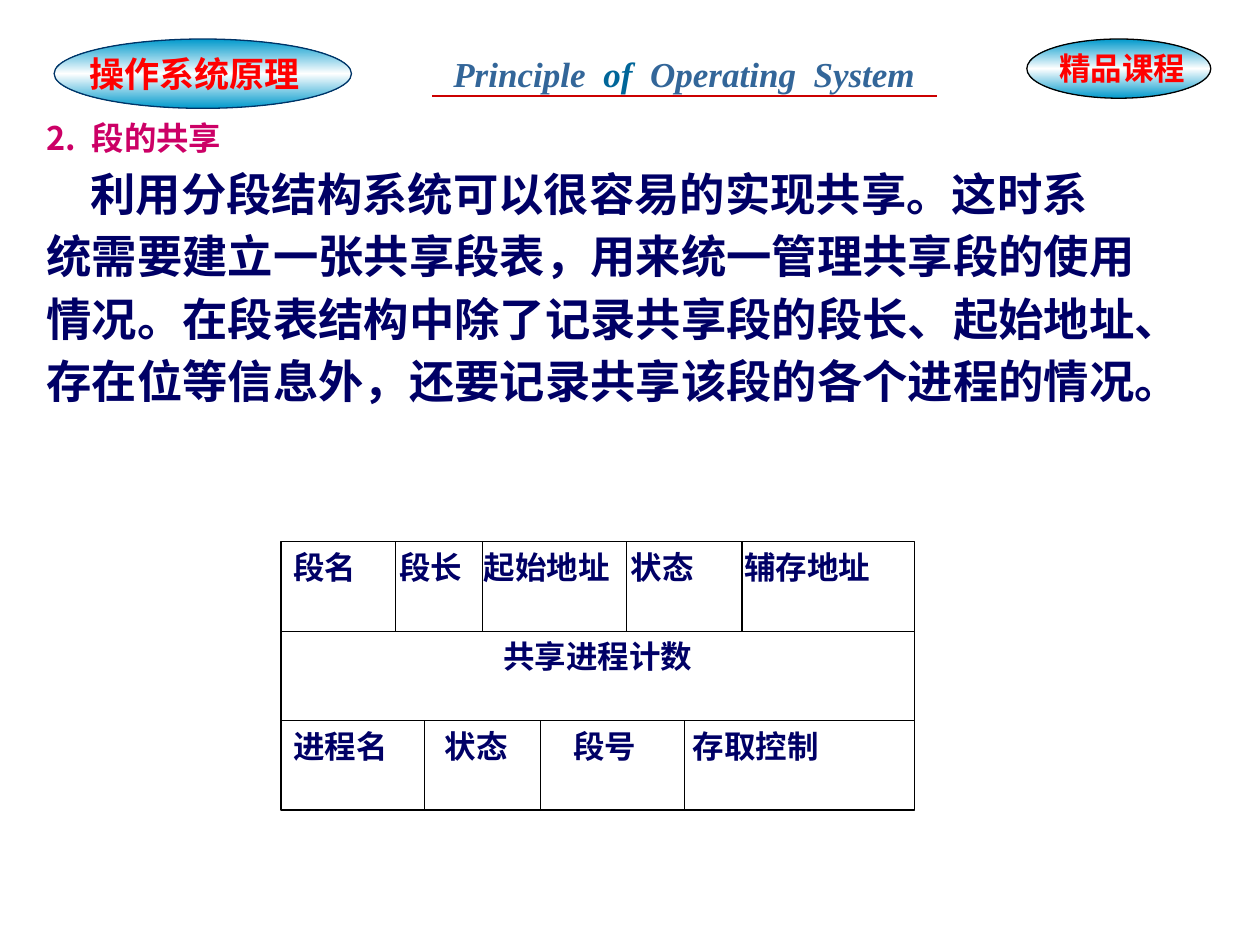
from copy import deepcopy

from lxml.etree import SubElement
from pptx import Presentation
from pptx.dml.color import RGBColor
from pptx.enum.shapes import MSO_CONNECTOR, MSO_SHAPE
from pptx.enum.text import MSO_ANCHOR, PP_ALIGN
from pptx.oxml.ns import qn
from pptx.util import Inches, Pt

NAVY = RGBColor(0x00, 0x00, 0x66)
MAGENTA = RGBColor(0xCC, 0x00, 0x66)
RED = RGBColor(0xFF, 0x00, 0x00)
RULE_RED = RGBColor(0xCC, 0x00, 0x00)
SKY = RGBColor(0x00, 0x99, 0xCC)
WHITE = RGBColor(0xFF, 0xFF, 0xFF)
BLACK = RGBColor(0x00, 0x00, 0x00)
DEEP_BLUE = RGBColor(0x00, 0x33, 0x66)
STEEL = RGBColor(0x33, 0x66, 0x99)
TEAL = RGBColor(0x00, 0x66, 0x99)

SERIF = "Times New Roman"
SANS = "Arial"
CJK = "Noto Sans CJK SC"
CJK_HEADING = "Noto Sans CJK JP"


def style_run(r, size, color, font=SERIF, east=CJK, italic=False):
    r.font.size = Pt(size)
    r.font.bold = True
    r.font.italic = italic
    r.font.name = font
    r.font.color.rgb = color
    SubElement(r.font._element, qn("a:ea")).set("typeface", east)


def add_tabs(p, stops):
    tabs = SubElement(p._p.get_or_add_pPr(), qn("a:tabLst"))
    for stop in stops:
        SubElement(tabs, qn("a:tab"), pos=str(Inches(stop)), algn="l")


def add_text_box(s, x, y, w, h, wrap=False):
    tf = s.shapes.add_textbox(Inches(x), Inches(y), Inches(w), Inches(h)).text_frame
    tf.word_wrap = wrap
    return tf


def add_line(s, x1, y1, x2, y2, color=BLACK, width=0.75):
    line = s.shapes.add_connector(
        MSO_CONNECTOR.STRAIGHT, Inches(x1), Inches(y1), Inches(x2), Inches(y2))
    line.line.color.rgb = color
    line.line.width = Pt(width)
    SubElement(line._element.spPr, qn("a:effectLst"))


def add_shape(s, kind, x, y, w, h, color=BLACK):
    sp = s.shapes.add_shape(kind, Inches(x), Inches(y), Inches(w), Inches(h))
    sp.shadow.inherit = False
    sp.line.color.rgb = color
    sp.line.width = Pt(0.75)
    return sp


def add_badge(s, x, y, w, h, outline, text, dx, dy, text_w, text_h, size, font):
    sp = add_shape(s, MSO_SHAPE.OVAL, x, y, w, h, outline)
    sp.fill.gradient()
    sp.fill.gradient_angle = 90
    stops = sp._element.spPr.find(".//" + qn("a:gsLst"))
    stops.insert(1, deepcopy(stops[0]))
    for stop, position, color in zip(sp.fill.gradient_stops, (0, 0.5, 1), (SKY, WHITE, SKY)):
        stop.position = position
        stop.color.rgb = color
    p = add_text_box(s, x + dx, y + dy, text_w, text_h).paragraphs[0]
    p.text = text
    style_run(p.runs[0], size, RED, font)


def add_course_title(s, x, y, w, h):
    p = add_text_box(s, x + 0.07, y + 0.01, w - 0.08, h).paragraphs[0]
    for text, color in (("Principle  ", STEEL), ("of  ", TEAL), ("Operating  System", STEEL)):
        r = p.add_run()
        r.text = text
        style_run(r, 20, color, italic=True)
    add_line(s, x, y + 0.4, x + w, y + 0.4, RULE_RED, 1)


def add_body(s, x, y, w, h):
    tf = add_text_box(s, x, y, w, h, wrap=True)
    tf.text = "\n".join((
        "2.\t段的共享",
        "利用分段结构系统可以很容易的实现共享。这时系",
        "统需要建立一张共享段表，用来统一管理共享段的使用",
        "情况。在段表结构中除了记录共享段的段长、起始地址、",
        "存在位等信息外，还要记录共享该段的各个进程的情况。",
    ))
    heading, first, *rest = tf.paragraphs
    for p in tf.paragraphs:
        p.line_spacing = 1.15
    add_tabs(heading, [0.36])
    for r in heading.runs:
        style_run(r, 18.5, MAGENTA, CJK_HEADING, CJK_HEADING)
    first.space_before = Pt(0.5)
    first._p.get_or_add_pPr().set("indent", str(Inches(0.35)))
    for p in (first, *rest):
        style_run(p.runs[0], 25.9, NAVY)


def add_table_row(s, x, y, w, h, labels, dividers=(), stops=(), align=PP_ALIGN.LEFT):
    sp = add_shape(s, MSO_SHAPE.RECTANGLE, x, y, w, h)
    sp.fill.background()
    tf = sp.text_frame
    tf.word_wrap = True
    tf.vertical_anchor = MSO_ANCHOR.TOP
    p = tf.paragraphs[0]
    p.text = "\t".join(labels)
    p.alignment = align
    if stops:
        add_tabs(p, stops)
    for r in p.runs:
        style_run(r, 18, NAVY)
    for dx in dividers:
        add_line(s, x + dx, y, x + dx, y + h)


def add_shared_segment_table(s, x, y, w, h):
    row_h = h / 3
    add_table_row(s, x, y, w, row_h,
                  ["段名", "段长", "起始地址", "状态", "辅存地址"],
                  [0.91, 1.6, 2.74, 3.66], [0.84, 1.51, 2.68, 3.58])
    add_table_row(s, x, y + row_h, w, row_h, ["共享进程计数"], align=PP_ALIGN.CENTER)
    add_table_row(s, x, y + 2 * row_h, w, row_h,
                  ["进程名", "状态", "段号", "存取控制"],
                  [1.14, 2.06, 3.2], [1.2, 2.22, 3.17])


def main():
    prs = Presentation()
    prs.slide_width = Inches(10)
    prs.slide_height = Inches(7.5)
    s = prs.slides.add_slide(prs.slide_layouts[6])
    add_badge(s, 0.43, 0.31, 2.36, 0.55, DEEP_BLUE, "操作系统原理",
              0.18, 0.06, 1.87, 0.44, 20, SERIF)
    add_course_title(s, 3.43, 0.36, 4.01, 0.44)
    add_badge(s, 8.15, 0.31, 1.46, 0.47, BLACK, "精品课程",
              0.16, 0.03, 1.38, 0.4, 18, SANS)
    add_body(s, 0.27, 0.84, 9.73, 2.57)
    add_shared_segment_table(s, 2.23, 4.3, 5.03, 2.13)
    prs.save("out.pptx")


if __name__ == "__main__":
    main()
